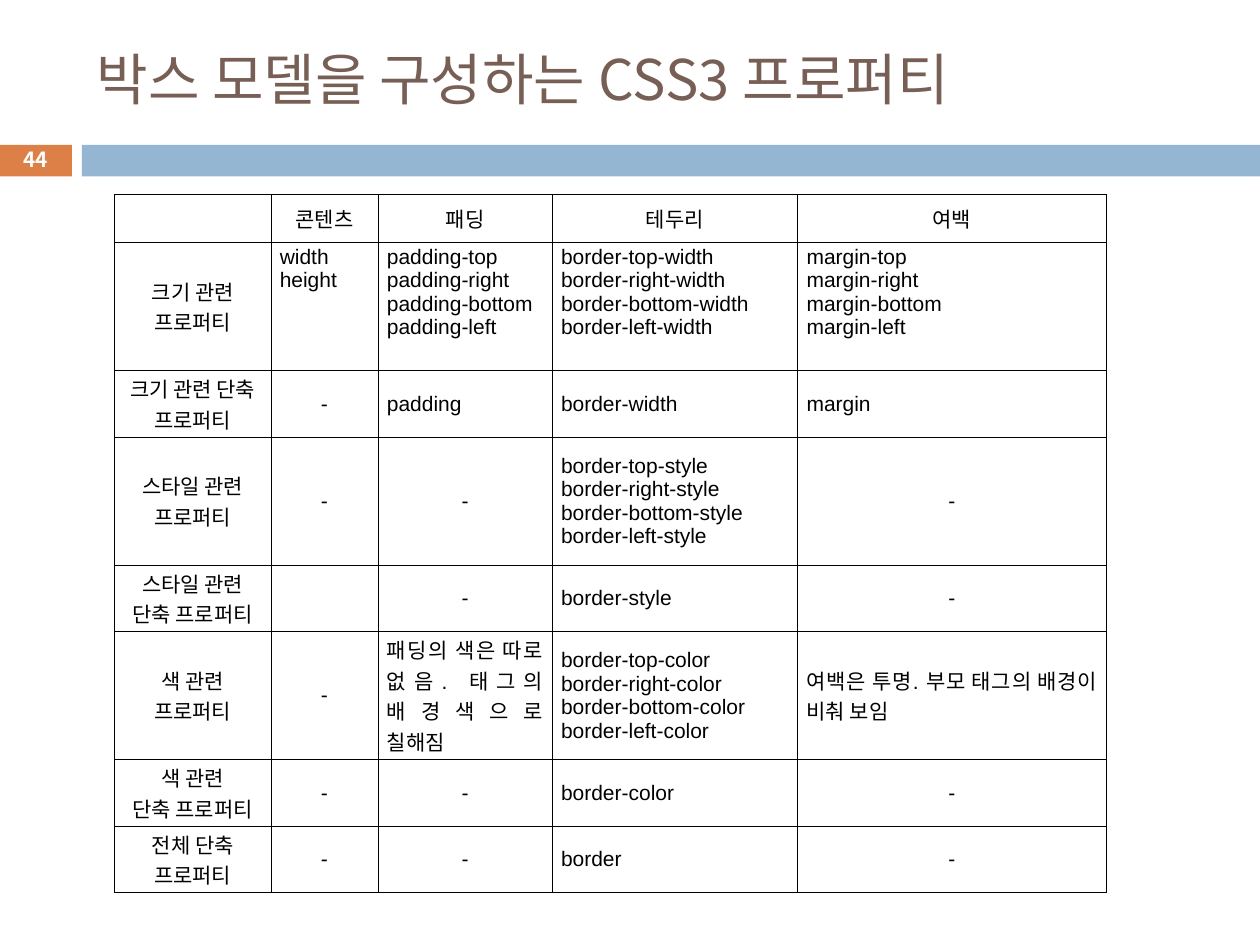
import pptx
import pptx.dml.color
import pptx.enum.shapes
import pptx.enum.text
import pptx.oxml.ns
import pptx.util
from dataclasses import dataclass
from lxml import etree

Cm = pptx.util.Cm
Align = pptx.enum.text.PP_ALIGN
Anchor = pptx.enum.text.MSO_ANCHOR
qn = pptx.oxml.ns.qn


@dataclass(frozen=True)
class Theme:
    title: str = "775F55"
    accent: str = "DD8047"
    bar: str = "94B6D2"
    ink: str = "000000"
    paper: str = "FFFFFF"
    korean_font: str = "Noto Sans CJK KR"
    table_font: str = "Arial"
    title_size: float = 32
    number_size: float = 11.9
    table_size: float = 12
    border_width: float = 0.28


theme = Theme()

TITLE = "박스 모델을 구성하는 CSS3 프로퍼티"
PAGE_NUMBER = "44"
SIDES = ("top", "right", "bottom", "left")


def border_sides(kind):
    return "\n".join(f"border-{side}-{kind}" for side in SIDES)


def box_sides(kind):
    return "\n".join(f"{kind}-{side}" for side in SIDES)


ROWS = [
    ("", "콘텐츠", "패딩", "테두리", "여백"),
    ("크기 관련\n프로퍼티", "width\nheight", box_sides("padding"),
     border_sides("width"), box_sides("margin")),
    ("크기 관련 단축 프로퍼티", "-", "padding", "border-width", "margin"),
    ("스타일 관련\n프로퍼티", "-", "-", border_sides("style"), "-"),
    ("스타일 관련\n단축 프로퍼티", "", "-", "border-style", "-"),
    ("색 관련\n프로퍼티", "-", "패딩의 색은 따로 없음. 태그의 배경색으로 칠해짐",
     border_sides("color"), "여백은 투명. 부모 태그의 배경이 비춰 보임"),
    ("색 관련\n단축 프로퍼티", "-", "-", "border-color", "-"),
    ("전체 단축\n프로퍼티", "-", "-", "border", "-"),
]
TOP_ALIGNED_ROW = 1
COLUMN_WIDTHS = (3.15, 2.16, 3.51, 4.95, 6.22)
HEADER_HEIGHT, SHORT_HEIGHT, TALL_HEIGHT = 0.97, 1.34, 2.58
ROW_HEIGHTS = [HEADER_HEIGHT] + [
    TALL_HEIGHT if any(text.count("\n") == 3 for text in row) else SHORT_HEIGHT
    for row in ROWS[1:]
]


def rgb(value):
    return pptx.dml.color.RGBColor.from_string(value)


def style_paragraph(paragraph, name, size, color, align, bold=False):
    paragraph.alignment = align
    font = paragraph.font
    font.name, font.size, font.bold = name, pptx.util.Pt(size), bold
    font.color.rgb = rgb(color)
    latin = paragraph._p.pPr.find(qn("a:defRPr")).find(qn("a:latin"))
    east_asian = etree.Element(qn("a:ea"), typeface=theme.korean_font)
    latin.addnext(east_asian)


def add_bar(slide, left, width, color):
    shape = slide.shapes.add_shape(
        pptx.enum.shapes.MSO_SHAPE.RECTANGLE, Cm(left), Cm(2.92), Cm(width), Cm(0.64))
    shape.shadow.inherit = False
    shape.fill.solid()
    shape.fill.fore_color.rgb = rgb(color)
    shape.line.fill.background()


def add_text(slide, text, box, inset, size, color, align, bold=False):
    frame = slide.shapes.add_textbox(*map(Cm, box)).text_frame
    frame.word_wrap = True
    frame.vertical_anchor = Anchor.MIDDLE
    frame.margin_left = frame.margin_right = Cm(inset)
    frame.margin_top = frame.margin_bottom = 0
    frame.text = text
    style_paragraph(frame.paragraphs[0], theme.korean_font, size, color, align, bold)


def add_borders(cell):
    properties = cell._tc.get_or_add_tcPr()
    for edge in ("lnL", "lnR", "lnT", "lnB"):
        line = etree.SubElement(properties, qn(f"a:{edge}"),
                                w=str(pptx.util.Pt(theme.border_width)))
        fill = etree.SubElement(line, qn("a:solidFill"))
        etree.SubElement(fill, qn("a:srgbClr"), val=theme.ink)


def fill_cell(cell, text, row_index, column_index):
    add_borders(cell)
    cell.fill.background()
    cell.margin_left = cell.margin_right = Cm(0.18)
    cell.margin_top = cell.margin_bottom = Cm(0.05)
    is_body = row_index > 0 and column_index > 0
    is_top = is_body and row_index == TOP_ALIGNED_ROW
    cell.vertical_anchor = Anchor.TOP if is_top else Anchor.MIDDLE
    align = Align.JUSTIFY if is_body and text != "-" else Align.CENTER
    cell.text = text
    for paragraph in cell.text_frame.paragraphs:
        style_paragraph(paragraph, theme.table_font, theme.table_size, theme.ink, align)


def add_property_table(slide):
    table = slide.shapes.add_table(
        len(ROWS), len(COLUMN_WIDTHS), Cm(2.31), Cm(3.92),
        Cm(sum(COLUMN_WIDTHS)), Cm(sum(ROW_HEIGHTS))).table
    table.first_row = table.horz_banding = False
    for column, width in zip(table.columns, COLUMN_WIDTHS):
        column.width = Cm(width)
    for row, height in zip(table.rows, ROW_HEIGHTS):
        row.height = Cm(height)
    for row_index, row in enumerate(ROWS):
        for column_index, text in enumerate(row):
            fill_cell(table.cell(row_index, column_index), text, row_index, column_index)


def main():
    presentation = pptx.Presentation()
    presentation.slide_width, presentation.slide_height = Cm(25.4), Cm(19.05)
    slide = presentation.slides.add_slide(presentation.slide_layouts[6])
    slide.background.fill.solid()
    slide.background.fill.fore_color.rgb = rgb(theme.paper)
    add_bar(slide, -0.02, 1.47, theme.accent)
    add_bar(slide, 1.65, 23.75, theme.bar)
    add_text(slide, TITLE, (1.7, 0.64, 22.66, 1.88), 0.25,
             theme.title_size, theme.title, Align.LEFT)
    add_text(slide, PAGE_NUMBER, (-0.02, 2.87, 1.47, 0.69), 0,
             theme.number_size, theme.paper, Align.CENTER, bold=True)
    add_property_table(slide)
    presentation.save("out.pptx")


if __name__ == "__main__":
    main()
